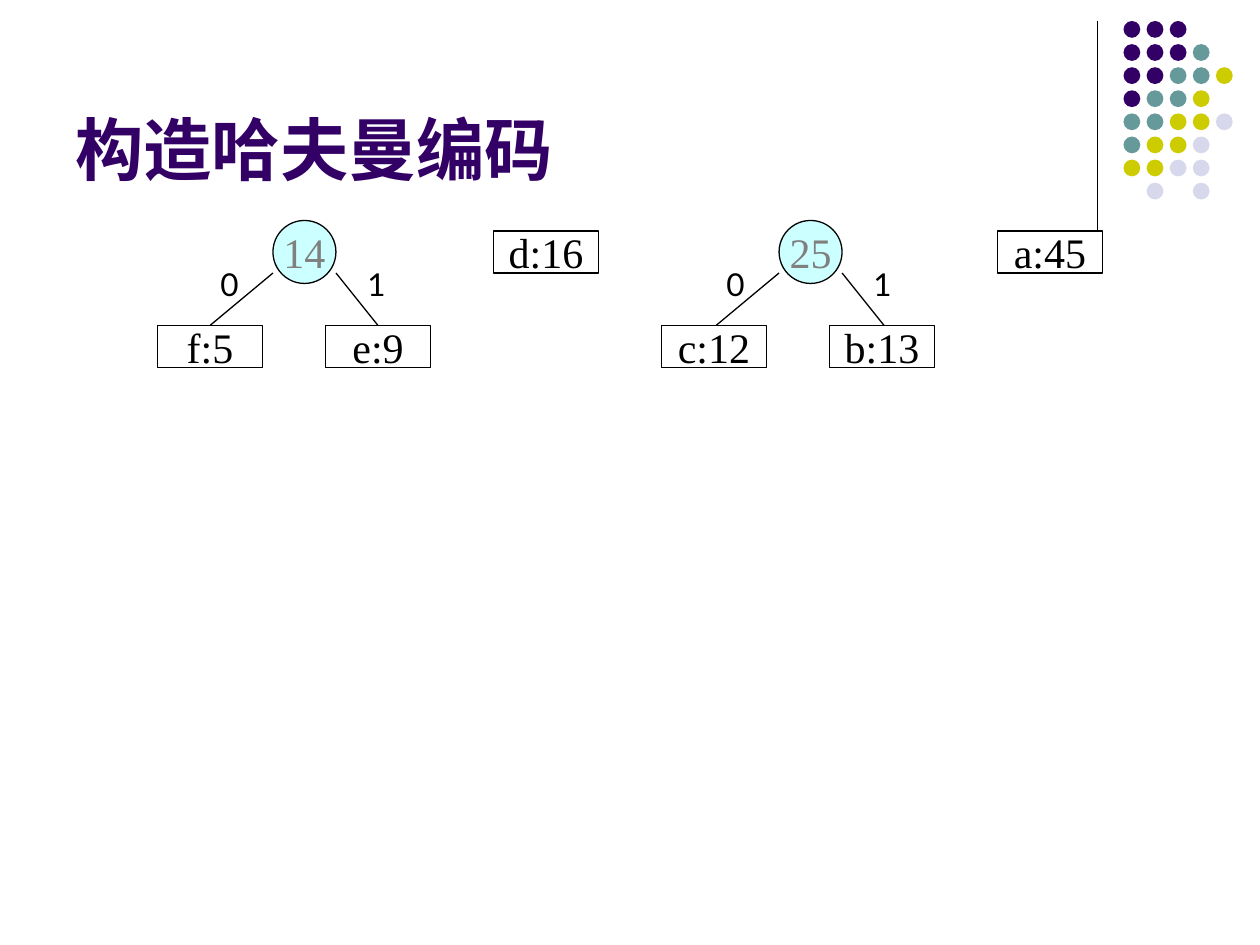
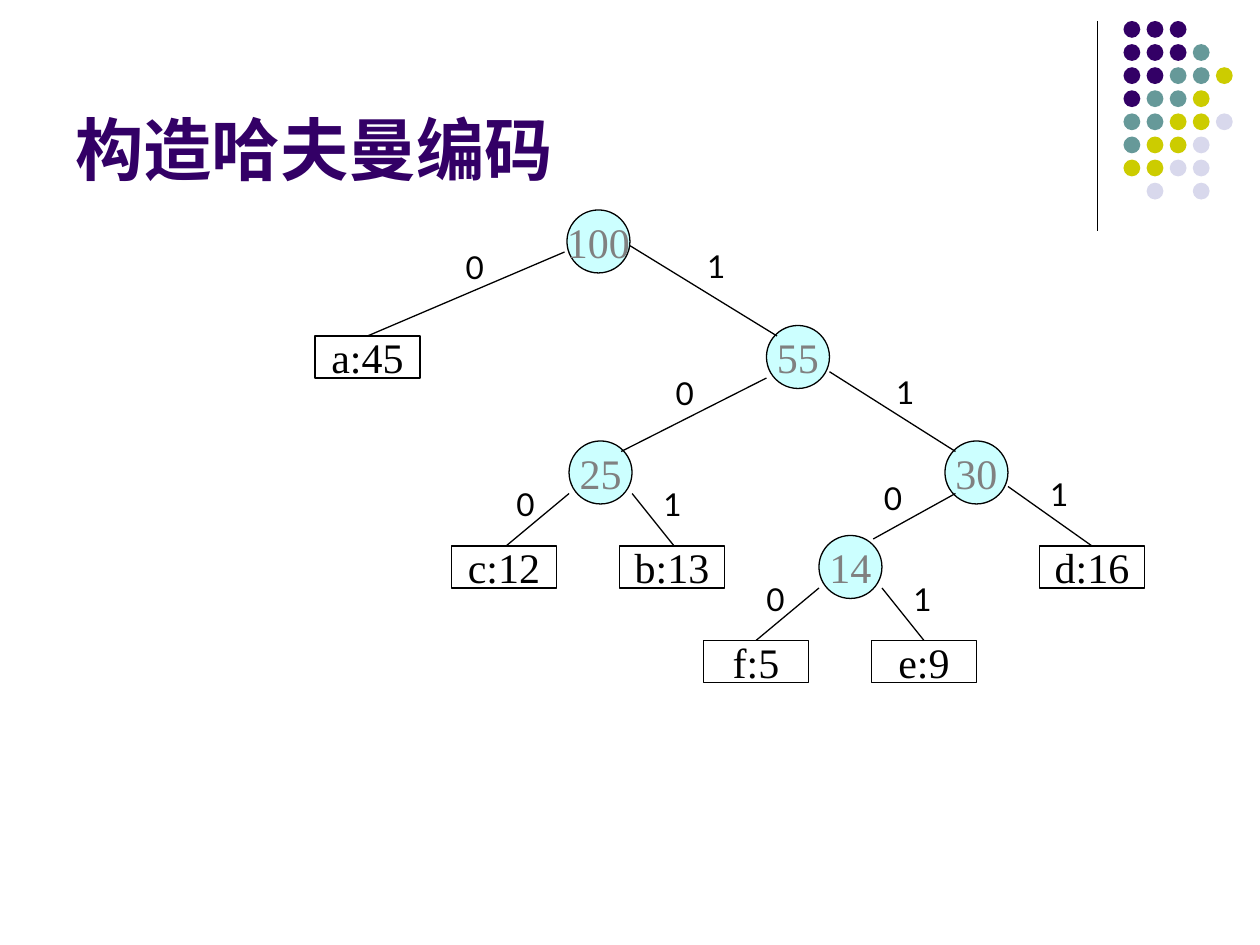
from lxml.etree import SubElement
from pptx import Presentation
from pptx.dml.color import RGBColor
from pptx.enum.shapes import MSO_CONNECTOR, MSO_SHAPE
from pptx.enum.text import MSO_ANCHOR, PP_ALIGN
from pptx.oxml.ns import qn
from pptx.util import Pt

PURPLE, TEAL, OLIVE, LILAC = "330066", "669999", "CCCC00", "D8D8EC"
BLACK, GREY, CYAN = "000000", "808080", "CCFFFF"
TITLE_FONT, NODE_FONT, BIT_FONT = "Noto Sans CJK SC", "Times New Roman", "Lato"
DOT_COLOURS = {"P": PURPLE, "T": TEAL, "O": OLIVE, "L": LILAC}
DOT_ROWS = ["PPP", "PPPT", "PPTTO", "PTTO", "TTOOL", "TOOL", "OOLL", " L L"]
DOT_SIZE, DOT_PITCH = 9.6, 13.2
LEAF_WIDTH, LEAF_HEIGHT, NODE_SIZE = 60, 24, 36


def colour(hex_code):
    """Turn a hex string into a colour."""
    return RGBColor.from_string(hex_code)


def write(frame, words, size, font, ink, bold=False):
    """Put one line of formatted text into a frame."""
    frame.text = words
    run = frame.paragraphs[0].runs[0]
    run.font.size, run.font.name, run.font.bold = Pt(size), font, bold
    run.font.color.rgb = colour(ink)
    SubElement(run.font._element, qn("a:ea")).set("typeface", font)


def add_line(slide, start, end):
    """Draw a thin black line between two points."""
    line = slide.shapes.add_connector(
        MSO_CONNECTOR.STRAIGHT, *(Pt(n) for n in (*start, *end)))
    line.line.color.rgb, line.line.width = colour(BLACK), Pt(0.75)
    SubElement(line._element.spPr, qn("a:effectLst"))


def add_vertex(slide, kind, words, box, ink, fill=None):
    """Draw an outlined tree vertex with centred text."""
    vertex = slide.shapes.add_shape(kind, *(Pt(n) for n in box))
    vertex.shadow.inherit = False
    if fill:
        vertex.fill.solid()
        vertex.fill.fore_color.rgb = colour(fill)
    else:
        vertex.fill.background()
    vertex.line.color.rgb, vertex.line.width = colour(BLACK), Pt(0.75)
    frame = vertex.text_frame
    write(frame, words, 24, NODE_FONT, ink)
    frame.word_wrap, frame.vertical_anchor = False, MSO_ANCHOR.MIDDLE
    frame.paragraphs[0].alignment = PP_ALIGN.CENTER


def add_leaf(slide, words, left, top):
    """Draw a symbol with its frequency."""
    add_vertex(slide, MSO_SHAPE.RECTANGLE, words,
               (left, top, LEAF_WIDTH, LEAF_HEIGHT), BLACK)


def add_node(slide, total, left, top):
    """Draw an inner node with its summed frequency."""
    add_vertex(slide, MSO_SHAPE.OVAL, total,
               (left, top, NODE_SIZE, NODE_SIZE), GREY, CYAN)


def add_edge(slide, origin, bit, child, parent, label):
    """Join child to parent and label the edge with its code bit."""
    left, top = origin
    add_line(slide, (left + child[0], top + child[1]),
             (left + parent[0], top + parent[1]))
    bit_box = slide.shapes.add_textbox(
        Pt(left + label[0]), Pt(top + label[1]), Pt(23), Pt(29))
    write(bit_box.text_frame, bit, 18, BIT_FONT, BLACK)
    bit_box.text_frame.word_wrap = False


def add_leaf_pair(slide, left, top, total, zero_leaf, one_leaf, lean=0):
    """Draw a node over two leaves, the node moved right by lean."""
    add_leaf(slide, zero_leaf, left, top + 60)
    add_leaf(slide, one_leaf, left + 96, top + 60)
    origin = left + 66 + lean, top
    add_node(slide, total, *origin)
    add_edge(slide, origin, "0", (-36, 60), (0, 30), (-37.2, 21.6))
    add_edge(slide, origin, "1", (60, 60), (36, 30), (46.8, 21.6))


def add_dots(slide, left, top):
    """Draw the coloured dot grid of the corner."""
    dots = slide.shapes.add_group_shape()
    for row, letters in enumerate(DOT_ROWS):
        for column, letter in enumerate(letters):
            if letter == " ":
                continue
            dot = dots.shapes.add_shape(
                MSO_SHAPE.OVAL, Pt(left + column * DOT_PITCH),
                Pt(top + row * DOT_PITCH), Pt(DOT_SIZE), Pt(DOT_SIZE))
            dot.shadow.inherit = False
            dot.fill.solid()
            dot.fill.fore_color.rgb = colour(DOT_COLOURS[letter])
            dot.line.fill.background()


def add_titled_slide(deck, heading):
    """Add a slide with the shared corner and title."""
    slide = deck.slides.add_slide(deck.slide_layouts[6])
    add_line(slide, (627, 12), (627, 132))
    add_dots(slide, 642, 12)
    title = slide.shapes.add_textbox(Pt(36), Pt(9.6), Pt(594), Pt(102))
    frame = title.text_frame
    write(frame, heading, 39, TITLE_FONT, PURPLE, bold=True)
    frame.word_wrap, frame.vertical_anchor = True, MSO_ANCHOR.BOTTOM
    return slide


def add_forest(slide, left, top):
    """Draw the four trees still waiting to be merged."""
    add_leaf_pair(slide, left, top, "14", "f:5", "e:9")
    add_leaf(slide, "d:16", left + 192, top + 6)
    add_leaf_pair(slide, left + 288, top, "25", "c:12", "b:13", lean=1.2)
    add_leaf(slide, "a:45", left + 480, top + 6)


def add_full_tree(slide, left, top):
    """Draw the finished Huffman tree."""
    add_leaf(slide, "a:45", left, top + 72)
    add_leaf(slide, "d:16", left + 414, top + 192)
    add_leaf_pair(slide, left + 222, top + 186, "14", "f:5", "e:9")
    add_leaf_pair(slide, left + 78, top + 132, "25", "c:12", "b:13", lean=1.2)
    for total, x, y in [("30", 360, 132), ("55", 258, 66), ("100", 144, 0)]:
        add_node(slide, total, left + x, top + y)
    edges = [
        ("0", (319, 188), (366, 162), (318, 150)),
        ("1", (444, 192), (396, 158), (413, 148)),
        ("0", (175, 138), (258, 96), (199, 90)),
        ("1", (366, 138), (294, 92.4), (325, 89.5)),
        ("0", (30, 72), (142.6, 24), (79, 18)),
        ("1", (264, 72), (180, 20.4), (217, 17.5)),
    ]
    for edge in edges:
        add_edge(slide, (left, top), *edge)


def main():
    """Build both slides and save the deck."""
    deck = Presentation()
    deck.slide_width, deck.slide_height = Pt(720), Pt(540)
    for add_diagram, left, top in [(add_forest, 90, 126),
                                   (add_full_tree, 180, 120)]:
        add_diagram(add_titled_slide(deck, "构造哈夫曼编码"), left, top)
    deck.save("out.pptx")


if __name__ == "__main__":
    main()
